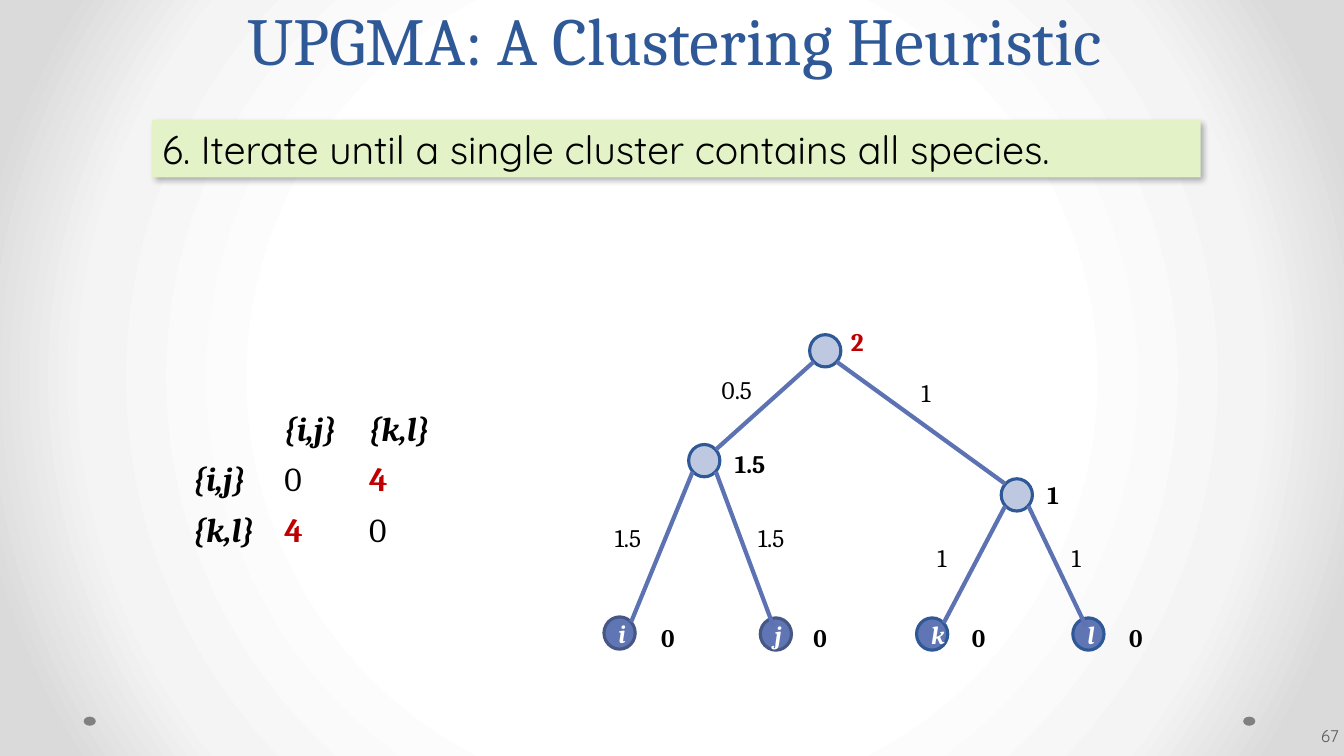
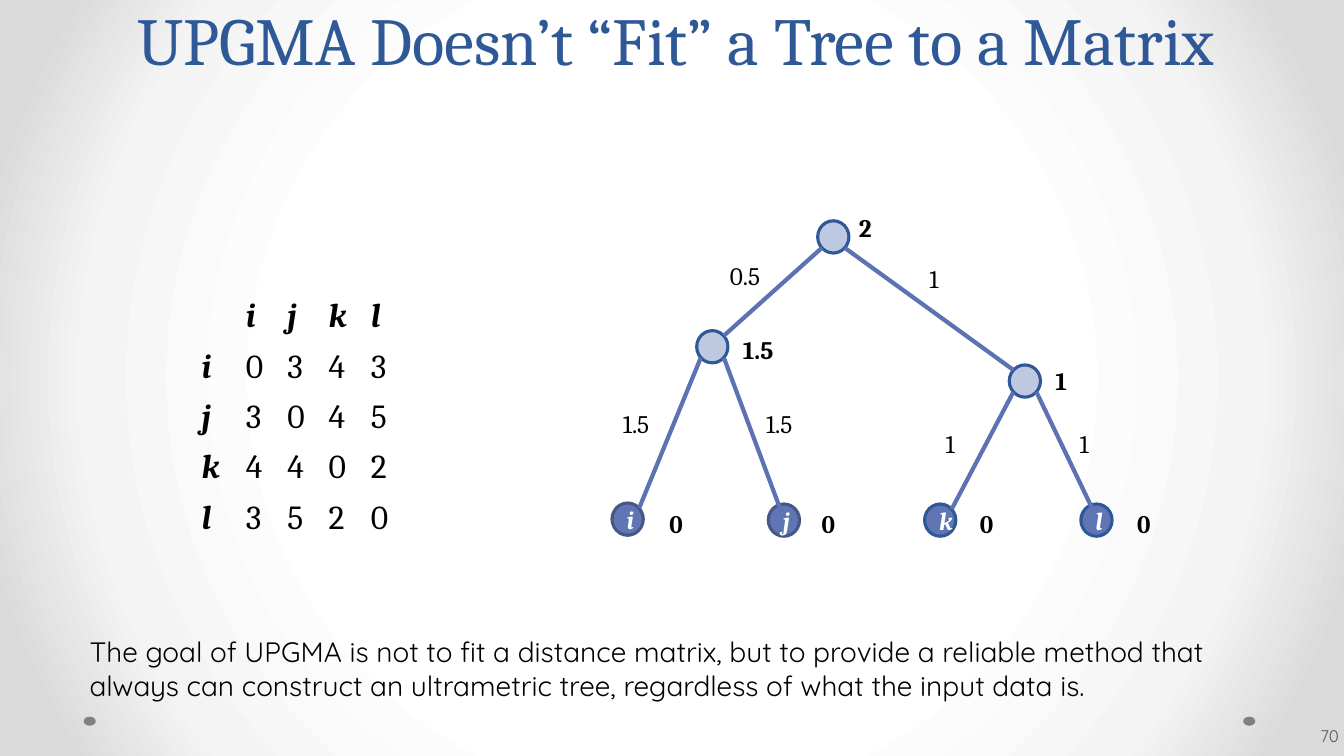
import pptx
import pptx.util
import pptx.dml.color
import pptx.enum.shapes
import pptx.enum.text
import pptx.oxml
import pptx.oxml.ns

PX = 9144  # 100 px to the inch
SERIF, SANS = "Cambria", "Quicksand"
BLUE, RED, BLACK, WHITE = "2F5897", "C00000", "000000", "FFFFFF"
LEAF, LEAF_EDGE, INNER, BRANCH = "6076B4", "475785", "BFC8E1", "5C72B2"
BAND, DOT, GREY = "E3F2C7", "808080", "595959"
NO_STYLE = "{2D5ABB26-0587-4C30-8999-92F81FD0307C}"

OVAL = pptx.enum.shapes.MSO_SHAPE.OVAL
ANCHOR = pptx.enum.text.MSO_ANCHOR
ALIGN = pptx.enum.text.PP_ALIGN
GROW = pptx.enum.text.MSO_AUTO_SIZE.SHAPE_TO_FIT_TEXT
qn = pptx.oxml.ns.qn

# Tree geometry: name -> left, top, outline
NODE_W, NODE_H = 31, 32
LEAVES = {"i": (599, 612, LEAF_EDGE), "j": (754, 613, LEAF_EDGE),
          "k": (909, 613, BLUE), "l": (1064, 613, BLUE)}
INNERS = {"ij": (683, 441, BLUE), "kl": (993, 475, BLUE), "root": (803, 332, BLUE)}
# Where a branch leaves its parent and meets its child, relative to the node
LOW_LEFT, LOW_RIGHT = (4, 27), (27, 27)
TOP_LEFT, TOP_RIGHT, LEAF_TOP = (4, 5), (27, 5), (13, 8)
BRANCHES = [("ij", LOW_LEFT, "i", TOP_RIGHT), ("ij", LOW_RIGHT, "j", LEAF_TOP),
            ("kl", LOW_LEFT, "k", TOP_RIGHT), ("kl", LOW_RIGHT, "l", LEAF_TOP),
            ("root", LOW_LEFT, "ij", TOP_RIGHT), ("root", LOW_RIGHT, "kl", TOP_LEFT)]
AGES = [("0", 646, 612), ("0", 797, 612), ("0", 954, 612), ("0", 1110, 612),
        ("1.5", 719, 440), ("1", 1029, 471)]
ROOT_AGE = ("2", 834, 319)
LENGTHS = [("1.5", 600, 513), ("1.5", 742, 513), ("1", 920, 533),
           ("1", 1053, 533), ("0.5", 706, 366), ("1", 904, 369)]


def rgb(value):
    return pptx.dml.color.RGBColor.from_string(value)


def px(*values):
    return [v * PX for v in values]


def write(tf, text, size, font=SERIF, color=BLACK, bold=False, italic=False, align=ALIGN.LEFT):
    tf.text = text
    p = tf.paragraphs[0]
    p.alignment = align
    for r in p.runs:
        f = r.font
        f.size, f.name, f.bold, f.italic = pptx.util.Pt(size), font, bold, italic
        f.color.rgb = rgb(color)
    return p


def text_box(shapes, box, text, size, wrap=True, anchor=ANCHOR.TOP, **style):
    sp = shapes.add_textbox(*px(*box))
    tf = sp.text_frame
    tf.word_wrap = wrap
    tf.vertical_anchor = anchor
    write(tf, text, size, **style)
    return sp


def shape(shapes, kind, box, fill, line=None):
    sp = shapes.add_shape(kind, *px(*box))
    sp.shadow.inherit = False
    sp.fill.solid()
    sp.fill.fore_color.rgb = rgb(fill)
    if line:
        sp.line.color.rgb = rgb(line)
        sp.line.width = pptx.util.Pt(2.25)
    else:
        sp.line.fill.background()
    return sp


def branch(shapes, start, end):
    cx = shapes.add_connector(pptx.enum.shapes.MSO_CONNECTOR.STRAIGHT, *px(*start, *end))
    cx.line.color.rgb = rgb(BRANCH)
    cx.line.width = pptx.util.Pt(3)
    sp_pr = cx.element.find(qn("p:spPr"))
    sp_pr.append(pptx.oxml.parse_xml(f"<a:effectLst {pptx.oxml.ns.nsdecls('a')}/>"))


def label(shapes, text, x, y, **style):
    sp = text_box(shapes, (x, y, 33 if len(text) == 1 else 52, 40), text, 18, wrap=False, **style)
    sp.text_frame.auto_size = GROW


def tree(shapes, dx=0, dy=0, root_color=BLACK):
    nodes = {}
    # Leaves and inner nodes
    for name, (x, y, line) in {**LEAVES, **INNERS}.items():
        leaf = name in LEAVES
        nodes[name] = x + dx, y + dy
        sp = shape(shapes, OVAL, (x + dx, y + dy, NODE_W, NODE_H), LEAF if leaf else INNER, line)
        if leaf:
            sp.text_frame.vertical_anchor = ANCHOR.MIDDLE
            write(sp.text_frame, name, 18, color=WHITE, bold=True, italic=True, align=ALIGN.CENTER)
    # Branches
    for parent, out, child, into in BRANCHES:
        start = [a + b for a, b in zip(nodes[parent], out)]
        end = [a + b for a, b in zip(nodes[child], into)]
        branch(shapes, start, end)
    # Node ages and branch lengths
    for text, x, y in AGES:
        label(shapes, text, x + dx, y + dy, bold=True)
    for text, x, y in LENGTHS:
        label(shapes, text, x + dx, y + dy)
    text, x, y = ROOT_AGE
    label(shapes, text, x + dx, y + dy, bold=True, color=root_color)


def matrix(s, x, y, widths, row_h, names, values, accent=None):
    rows = [["", *names]] + [[n, *v] for n, v in zip(names, values)]
    size = len(rows)
    frame = s.shapes.add_table(size, size, *px(x, y, sum(widths), row_h * size))
    frame.element.find(".//" + qn("a:tableStyleId")).text = NO_STYLE
    table = frame.table
    table.first_row = table.horz_banding = False
    for col, w in zip(table.columns, widths):
        col.width = w * PX
    for r, row in enumerate(rows):
        table.rows[r].height = row_h * PX
        for c, text in enumerate(row):
            cell = table.cell(r, c)
            cell.fill.background()
            if text:
                head, hot = r == 0 or c == 0, text == accent
                write(cell.text_frame, text, 24, color=RED if hot else BLACK,
                      bold=head or hot, italic=head)


def band(s, box, text):
    sp = shape(s.shapes, pptx.enum.shapes.MSO_SHAPE.RECTANGLE, box, BAND)
    sp.element.spPr.find(qn("a:effectLst")).append(pptx.oxml.parse_xml(
        f'<a:outerShdw {pptx.oxml.ns.nsdecls("a")} blurRad="57150" dist="33020" dir="3180000" '
        'algn="tl" rotWithShape="0"><a:srgbClr val="000000"><a:alpha val="30000"/>'
        '</a:srgbClr></a:outerShdw>'))
    sp.text_frame.vertical_anchor = ANCHOR.TOP
    sp.text_frame.auto_size = GROW
    write(sp.text_frame, text, 28, font=SANS)


def set_background(master):
    master.background.fill.gradient()
    grad = master.element.find(".//" + qn("p:bgPr")).find(qn("a:gradFill"))
    stops = "".join(f'<a:gs pos="{pos}000"><a:srgbClr val="{c}"/></a:gs>'
                    for pos, c in [(50, WHITE), (76, "F4F4F4"), (92, "DADADA")])
    grad.getparent().replace(grad, pptx.oxml.parse_xml(
        f'<a:gradFill {pptx.oxml.ns.nsdecls("a")} rotWithShape="1"><a:gsLst>{stops}</a:gsLst>'
        '<a:path path="circle"><a:fillToRect l="50000" t="50000" r="50000" b="50000"/></a:path>'
        '</a:gradFill>'))


def new_slide(prs, title, title_x, title_w, number):
    s = prs.slides.add_slide(prs.slide_layouts[6])
    for x in (1233, 83):
        shape(s.shapes, OVAL, (x, 711, 12, 9), DOT)
    sp = text_box(s.shapes, (title_x, 0, title_w, 83), title, 48, anchor=ANCHOR.BOTTOM,
                  color=BLUE, align=ALIGN.CENTER)
    sp.text_frame.paragraphs[0].line_spacing = pptx.util.Pt(58)
    sp = text_box(s.shapes, (1033, 710, 300, 40), number, 12, anchor=ANCHOR.MIDDLE,
                  font=SANS, color=GREY, align=ALIGN.RIGHT)
    sp.text_frame.margin_left, sp.text_frame.margin_right = px(3, 5)
    return s


def main():
    prs = pptx.Presentation()
    prs.slide_width, prs.slide_height = px(1333, 750)
    set_background(prs.slide_master)

    # Last clustering step
    s = new_slide(prs, "UPGMA: A Clustering Heuristic", 69, 1200, "67")
    matrix(s, 182, 403, [90, 84, 82], 49, ["{i,j}", "{k,l}"], ["04", "40"], accent="4")
    band(s, (151, 119, 1040, 57), "6. Iterate until a single cluster contains all species.")
    tree(s.shapes, root_color=RED)

    # Matrix against the finished tree
    s = new_slide(prs, "UPGMA Doesn’t “Fit” a Tree to a Matrix", 51, 1239, "70")
    tree(s.shapes.add_group_shape().shapes, dx=8, dy=-113)
    matrix(s, 190, 290, [44, 41, 41, 42, 44], 50, "ijkl", ["0343", "3045", "4402", "3520"])
    sp = text_box(s.shapes, (79, 625, 1214, 77),
                  "The goal of UPGMA is not to fit a distance matrix, but to provide a reliable "
                  "method that always can construct an ultrametric tree, regardless of what the "
                  "input data is.", 20, font=SANS)
    sp.text_frame.auto_size = GROW

    prs.save("out.pptx")


if __name__ == "__main__":
    main()
